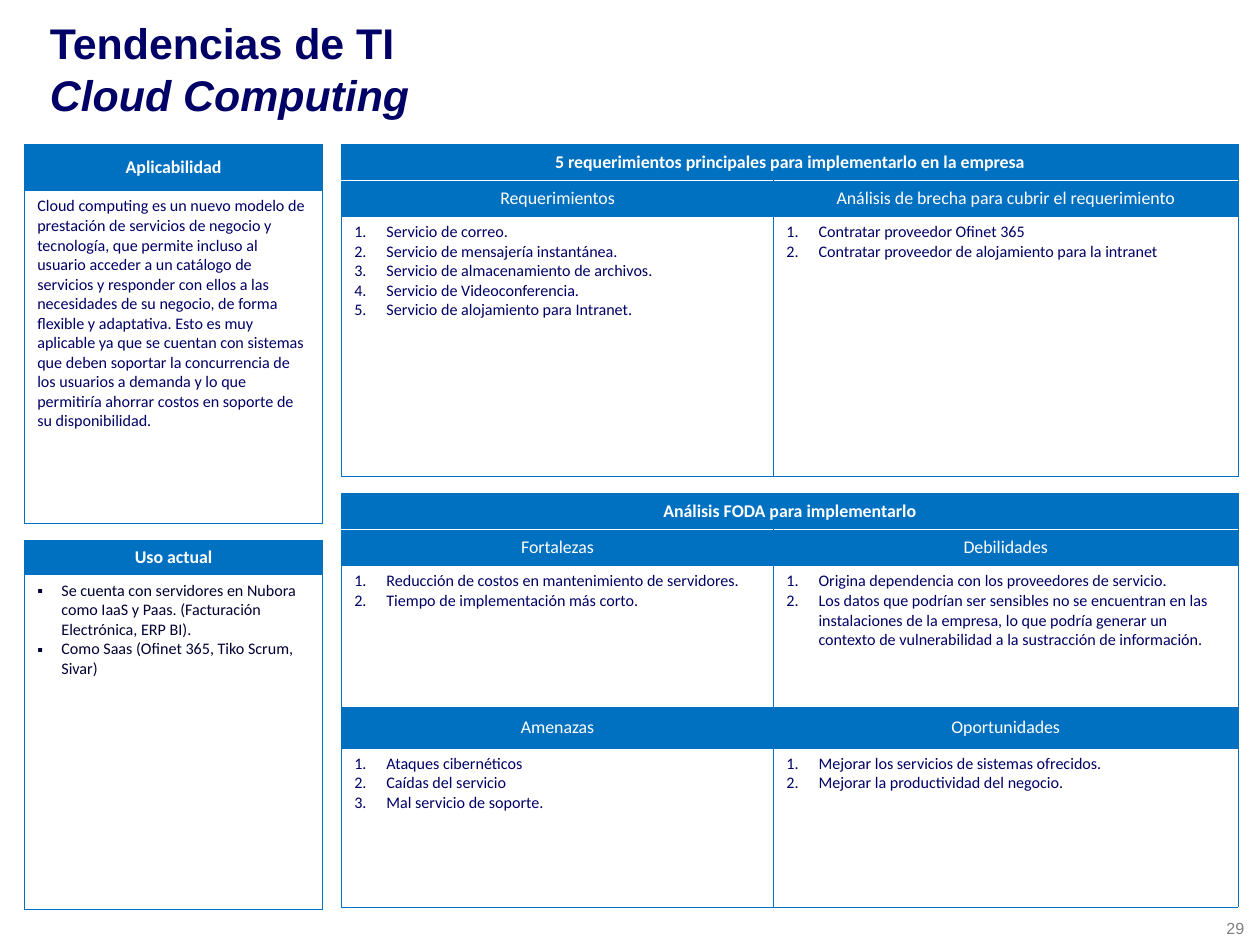
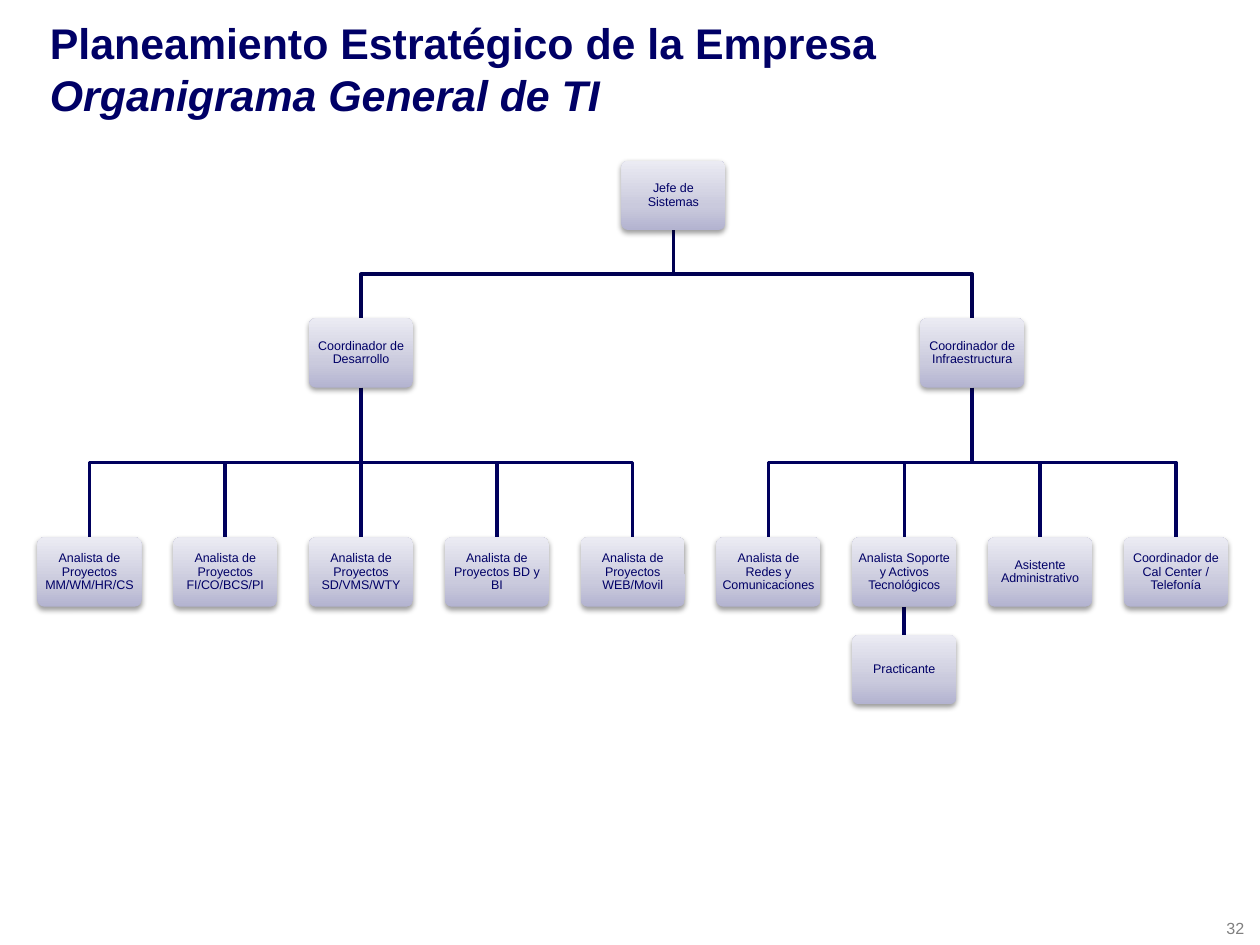
"""Build two IT planning slides: a cloud computing analysis and an organisation chart."""
import copy
from dataclasses import dataclass
from typing import Optional

import pptx
import pptx.dml.color
import pptx.enum.shapes
import pptx.enum.text
import pptx.oxml.ns
import pptx.presentation
import pptx.shapes.autoshape
import pptx.slide
import pptx.table
import pptx.text.text
import pptx.util
from lxml import etree

Pt = pptx.util.Pt
qn = pptx.oxml.ns.qn
PP_ALIGN = pptx.enum.text.PP_ALIGN
ANCHOR = pptx.enum.text.MSO_ANCHOR

COLORS = {
    "navy": "000066",
    "ink": "000033",
    "blue": "0070C0",
    "white": "FFFFFF",
    "grey": "808080",
    "trunk": "000052",
    "branch": "00005D",
    "black": "000000",
    "box_bottom": "B3B3D0",
    "box_middle": "CACADD",
    "box_top": "EBEBF3",
}
BOX_GRADIENT = ((0, "box_bottom"), (0.35, "box_middle"), (1, "box_top"))
HEADING, SUBHEADING, BODY = "heading", "subheading", "body"

BOX_WIDTH, BOX_HEIGHT, BOX_MARGIN = 58.3, 38.9, 1.8
FIRST_CENTER, COLUMN_PITCH = 50.1, 76.05
LEVEL_TOPS = (90, 178.2, 300.9, 355.6)


@dataclass(frozen=True)
class Row:
    kind: str
    height: float
    cells: tuple[tuple[str, ...], ...]


@dataclass(frozen=True)
class Panel:
    left: float
    top: float
    widths: tuple[float, ...]
    rows: tuple[Row, ...]
    bullet: Optional[str] = None
    body_color: str = "navy"


@dataclass(frozen=True)
class Position:
    name: str
    column: float
    reports: tuple["Position", ...] = ()


SIDE_LEFT, SIDE_WIDTHS = 13.7, (167,)
MAIN_LEFT, MAIN_WIDTHS = 191.2, (242, 260)

PANELS = (
    Panel(MAIN_LEFT, 80.6, MAIN_WIDTHS, (
        Row(HEADING, 20.2, (("5 requerimientos principales para implementarlo en la empresa",),)),
        Row(SUBHEADING, 20.2, (
            ("Requerimientos",),
            ("Análisis de brecha para cubrir el requerimiento",),
        )),
        Row(BODY, 145.8, (
            (
                "Servicio de correo.",
                "Servicio de mensajería instantánea.",
                "Servicio de almacenamiento de archivos.",
                "Servicio de Videoconferencia.",
                "Servicio de alojamiento para Intranet.",
            ),
            (
                "Contratar proveedor Ofinet 365",
                "Contratar proveedor de alojamiento para la intranet",
            ),
        )),
    ), "number"),
    Panel(MAIN_LEFT, 276.2, MAIN_WIDTHS, (
        Row(HEADING, 20.2, (("Análisis FODA para implementarlo",),)),
        Row(SUBHEADING, 20.2, (("Fortalezas",), ("Debilidades",))),
        Row(BODY, 79.2, (
            (
                "Reducción de costos en mantenimiento de servidores.",
                "Tiempo de implementación más corto.",
            ),
            (
                "Origina dependencia con los proveedores de servicio.",
                "Los datos que podrían ser sensibles no se encuentran en las instalaciones "
                "de la empresa, lo que podría generar un contexto de vulnerabilidad a la "
                "sustracción de información.",
            ),
        )),
        Row(SUBHEADING, 23, (("Amenazas",), ("Oportunidades",))),
        Row(BODY, 89.3, (
            ("Ataques cibernéticos", "Caídas del servicio", "Mal servicio de soporte."),
            (
                "Mejorar los servicios de sistemas ofrecidos.",
                "Mejorar la productividad del negocio.",
            ),
        )),
    ), "number"),
    Panel(SIDE_LEFT, 80.6, SIDE_WIDTHS, (
        Row(HEADING, 26, (("Aplicabilidad",),)),
        Row(BODY, 186.5, ((
            "Cloud computing es un nuevo modelo de prestación de servicios de negocio y "
            "tecnología, que permite incluso al usuario acceder a un catálogo de servicios y "
            "responder con ellos a las necesidades de su negocio, de forma flexible y "
            "adaptativa. Esto es muy aplicable ya que se cuentan con sistemas que deben "
            "soportar la concurrencia de los usuarios a demanda y lo que permitiría ahorrar "
            "costos en soporte de su disponibilidad.",
        ),)),
    )),
    Panel(SIDE_LEFT, 302.4, SIDE_WIDTHS, (
        Row(HEADING, 19.4, (("Uso actual",),)),
        Row(BODY, 187.2, ((
            "Se cuenta con servidores en Nubora como IaaS y Paas. "
            "(Facturación Electrónica, ERP BI).",
            "Como Saas (Ofinet 365, Tiko Scrum, Sivar)",
        ),)),
    ), "square", "ink"),
)

CHIEF = Position("Jefe de Sistemas", 4.3, (
    Position("Coordinador de Desarrollo", 2, (
        Position("Analista de Proyectos MM/WM/HR/CS", 0),
        Position("Analista de Proyectos FI/CO/BCS/PI", 1),
        Position("Analista de Proyectos SD/VMS/WTY", 2),
        Position("Analista de Proyectos BD y BI", 3),
        Position("Analista de Proyectos WEB/Movil", 4),
    )),
    Position("Coordinador de Infraestructura", 6.5, (
        Position("Analista de Redes y Comunicaciones", 5),
        Position("Analista Soporte y Activos Tecnológicos", 6, (Position("Practicante", 6),)),
        Position("Asistente Administrativo", 7),
        Position("Coordinador de Cal Center / Telefonía", 8),
    )),
))


def rgb(name: str) -> pptx.dml.color.RGBColor:
    return pptx.dml.color.RGBColor.from_string(COLORS[name])


def set_font(paragraph: pptx.text.text._Paragraph, name: str, size: float, color: str,
             bold: bool = False) -> None:
    font = paragraph.font
    font.name, font.size, font.bold = name, Pt(size), bold
    font.color.rgb = rgb(color)


def add_slide(presentation: pptx.presentation.Presentation, title: str, subtitle: str,
              number: int) -> pptx.slide.Slide:
    slide = presentation.slides.add_slide(presentation.slide_layouts[6])
    frame = slide.shapes.add_textbox(Pt(20.9), Pt(12), Pt(667.4), Pt(52.6)).text_frame
    frame.word_wrap = True
    frame.vertical_anchor = ANCHOR.MIDDLE
    paragraph = frame.paragraphs[0]
    paragraph.add_run().text = title
    paragraph.add_line_break()
    run = paragraph.add_run()
    run.text = subtitle
    run.font.italic = True
    set_font(paragraph, "Arial", 24, "navy", True)

    frame = slide.shapes.add_textbox(Pt(679.7), Pt(510.5), Pt(25.9), Pt(18)).text_frame
    frame.word_wrap = False
    frame.text = str(number)
    set_font(frame.paragraphs[0], "Arial", 9, "grey")
    return slide


def set_bullet(paragraph: pptx.text.text._Paragraph, bullet: str) -> None:
    properties = paragraph._p.get_or_add_pPr()
    indent = Pt(18 if bullet == "number" else 13.5)
    properties.set("marL", str(indent))
    properties.set("indent", str(-indent))
    if bullet == "number":
        etree.SubElement(properties, qn("a:buAutoNum"), type="arabicPeriod")
    else:
        etree.SubElement(properties, qn("a:buFont"), typeface="Arial")
        etree.SubElement(properties, qn("a:buChar"), char="▪")


def set_borders(cell: pptx.table._Cell, top: str, bottom: str) -> None:
    properties = cell._tc.get_or_add_tcPr()
    for side, color in (("L", "blue"), ("R", "blue"), ("T", top), ("B", bottom)):
        line = etree.SubElement(properties, qn(f"a:ln{side}"), w=str(Pt(0.25)))
        fill = etree.SubElement(line, qn("a:solidFill"))
        etree.SubElement(fill, qn("a:srgbClr"), val=COLORS[color])


def fill_cell(cell: pptx.table._Cell, lines: tuple[str, ...], kind: str, panel: Panel) -> None:
    is_body = kind == BODY
    cell.fill.solid()
    cell.fill.fore_color.rgb = rgb("white" if is_body else "blue")
    cell.vertical_anchor = ANCHOR.TOP if is_body else ANCHOR.MIDDLE
    cell.text_frame.text = "\n".join(lines)
    for paragraph in cell.text_frame.paragraphs:
        if is_body:
            if panel.bullet:
                set_bullet(paragraph, panel.bullet)
            set_font(paragraph, "Calibri", 9, panel.body_color)
        else:
            paragraph.alignment = PP_ALIGN.CENTER
            set_font(paragraph, "Calibri", 10, "white", kind == HEADING)


def add_panel(slide: pptx.slide.Slide, panel: Panel) -> None:
    row_count, column_count = len(panel.rows), len(panel.widths)
    table = slide.shapes.add_table(
        row_count, column_count, Pt(panel.left), Pt(panel.top),
        Pt(sum(panel.widths)), Pt(sum(row.height for row in panel.rows))).table
    table.first_row = table.horz_banding = False
    for column, width in zip(table.columns, panel.widths):
        column.width = Pt(width)
    if column_count > 1:
        table.cell(0, 0).merge(table.cell(0, column_count - 1))
    for index, row in enumerate(panel.rows):
        table.rows[index].height = Pt(row.height)
        top = "white" if index == 1 and row.kind == SUBHEADING else "blue"
        bottom = "white" if row.kind == HEADING and column_count > 1 else "blue"
        for column_index in range(column_count):
            set_borders(table.cell(index, column_index), top, bottom)
        for column_index, lines in enumerate(row.cells):
            fill_cell(table.cell(index, column_index), lines, row.kind, panel)


def style_box(shape: pptx.shapes.autoshape.Shape) -> None:
    shape.adjustments[0] = 0.1
    shape.line.fill.background()
    shape.fill.gradient()
    shape.fill.gradient_angle = 90
    stop_list = next(shape._element.spPr.iter(qn("a:gsLst")))
    stop_list.append(copy.deepcopy(stop_list[0]))
    for stop, (position, color) in zip(shape.fill.gradient_stops, BOX_GRADIENT):
        stop.position = position
        stop.color.rgb = rgb(color)
    shape.shadow.inherit = False
    effects = shape._element.spPr.find(qn("a:effectLst"))
    shadow = etree.SubElement(effects, qn("a:outerShdw"), blurRad=str(Pt(3.1)),
                              dist=str(Pt(1.6)), dir="5400000", rotWithShape="0")
    color = etree.SubElement(shadow, qn("a:srgbClr"), val=COLORS["black"])
    etree.SubElement(color, qn("a:alpha"), val="38000")


def add_branch(slide: pptx.slide.Slide, start_x: float, end_x: float, level: int) -> None:
    start_y, end_y = LEVEL_TOPS[level] + BOX_HEIGHT, LEVEL_TOPS[level + 1]
    if start_x == end_x:
        branch = slide.shapes.add_connector(
            pptx.enum.shapes.MSO_CONNECTOR.STRAIGHT,
            Pt(start_x), Pt(start_y), Pt(end_x), Pt(end_y))
        etree.SubElement(branch._element.spPr, qn("a:effectLst"))
    else:
        middle_y = (start_y + end_y) / 2
        builder = slide.shapes.build_freeform(Pt(start_x), Pt(start_y))
        corners = ((start_x, middle_y), (end_x, middle_y), (end_x, end_y))
        builder.add_line_segments([(Pt(x), Pt(y)) for x, y in corners], close=False)
        branch = builder.convert_to_shape()
        branch.fill.background()
        branch.shadow.inherit = False
    branch.line.width = Pt(2)
    branch.line.color.rgb = rgb("branch" if level else "trunk")


def add_position(slide: pptx.slide.Slide, position: Position, level: int = 0) -> None:
    center = FIRST_CENTER + COLUMN_PITCH * position.column
    for report in position.reports:
        add_branch(slide, center, FIRST_CENTER + COLUMN_PITCH * report.column, level)
        add_position(slide, report, level + 1)
    shape = slide.shapes.add_shape(
        pptx.enum.shapes.MSO_SHAPE.ROUNDED_RECTANGLE, Pt(center - BOX_WIDTH / 2),
        Pt(LEVEL_TOPS[level]), Pt(BOX_WIDTH), Pt(BOX_HEIGHT))
    style_box(shape)
    frame = shape.text_frame
    frame.word_wrap = True
    frame.vertical_anchor = ANCHOR.MIDDLE
    frame.margin_left = frame.margin_right = Pt(BOX_MARGIN)
    frame.margin_top = frame.margin_bottom = Pt(BOX_MARGIN)
    frame.text = position.name
    paragraph = frame.paragraphs[0]
    paragraph.alignment = PP_ALIGN.CENTER
    paragraph.line_spacing = 0.9
    set_font(paragraph, "Arial", 7, "navy")


def main() -> None:
    presentation = pptx.Presentation()
    presentation.slide_width, presentation.slide_height = Pt(705.6), Pt(529.2)
    cloud_slide = add_slide(presentation, "Tendencias de TI", "Cloud Computing", 29)
    for panel in PANELS:
        add_panel(cloud_slide, panel)
    chart_slide = add_slide(presentation, "Planeamiento Estratégico de la Empresa",
                            "Organigrama General de TI", 32)
    add_position(chart_slide, CHIEF)
    presentation.save("out.pptx")


if __name__ == "__main__":
    main()
